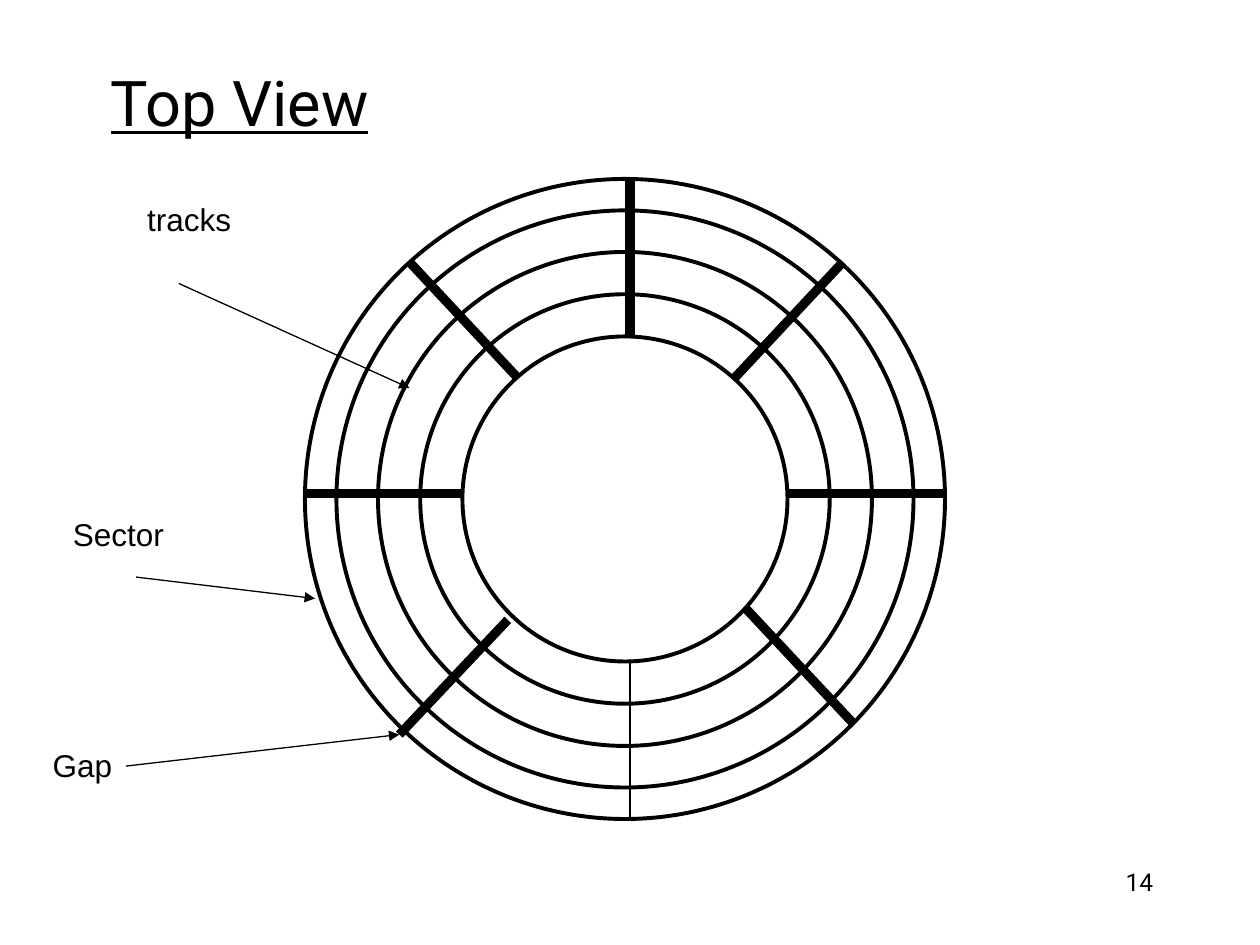
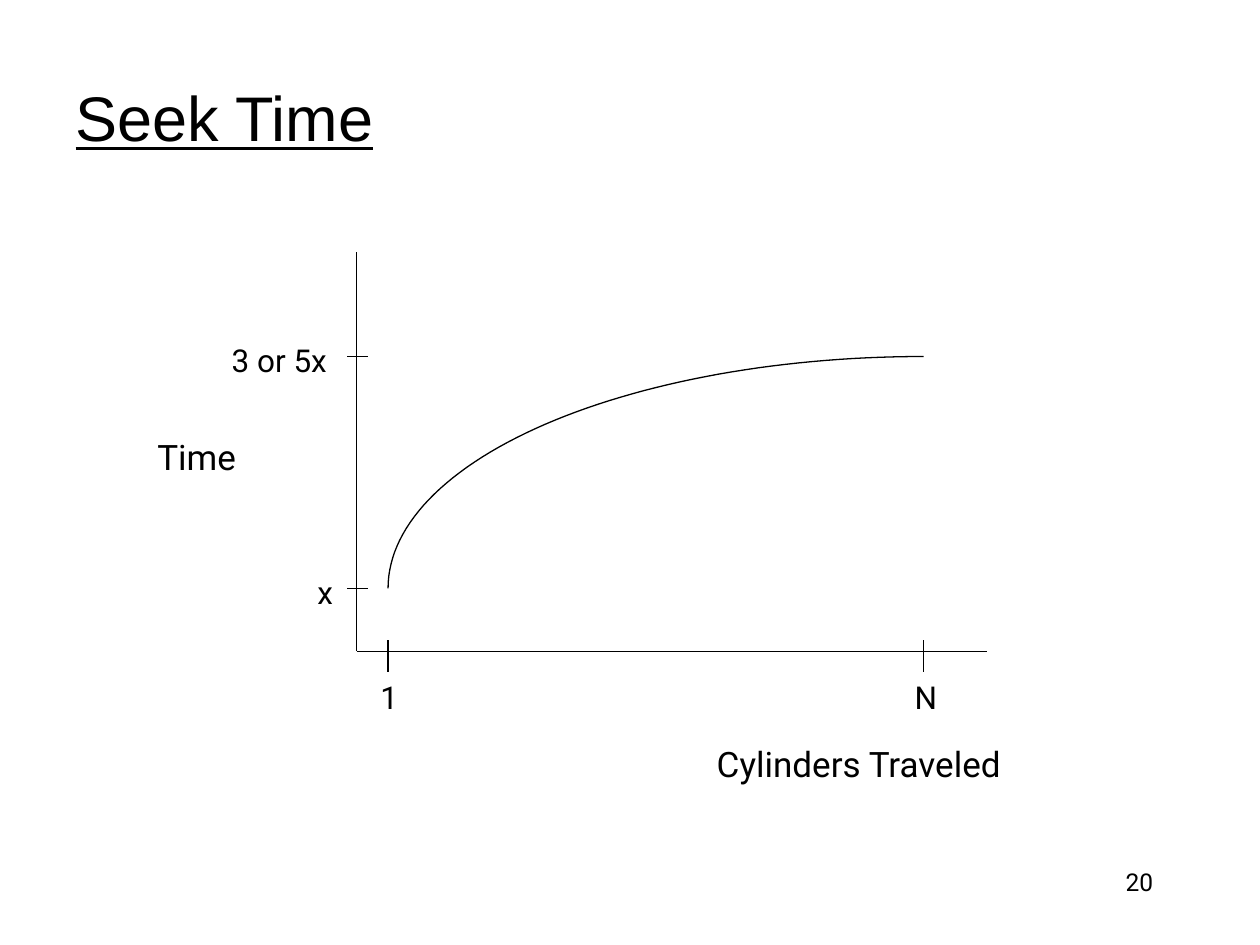
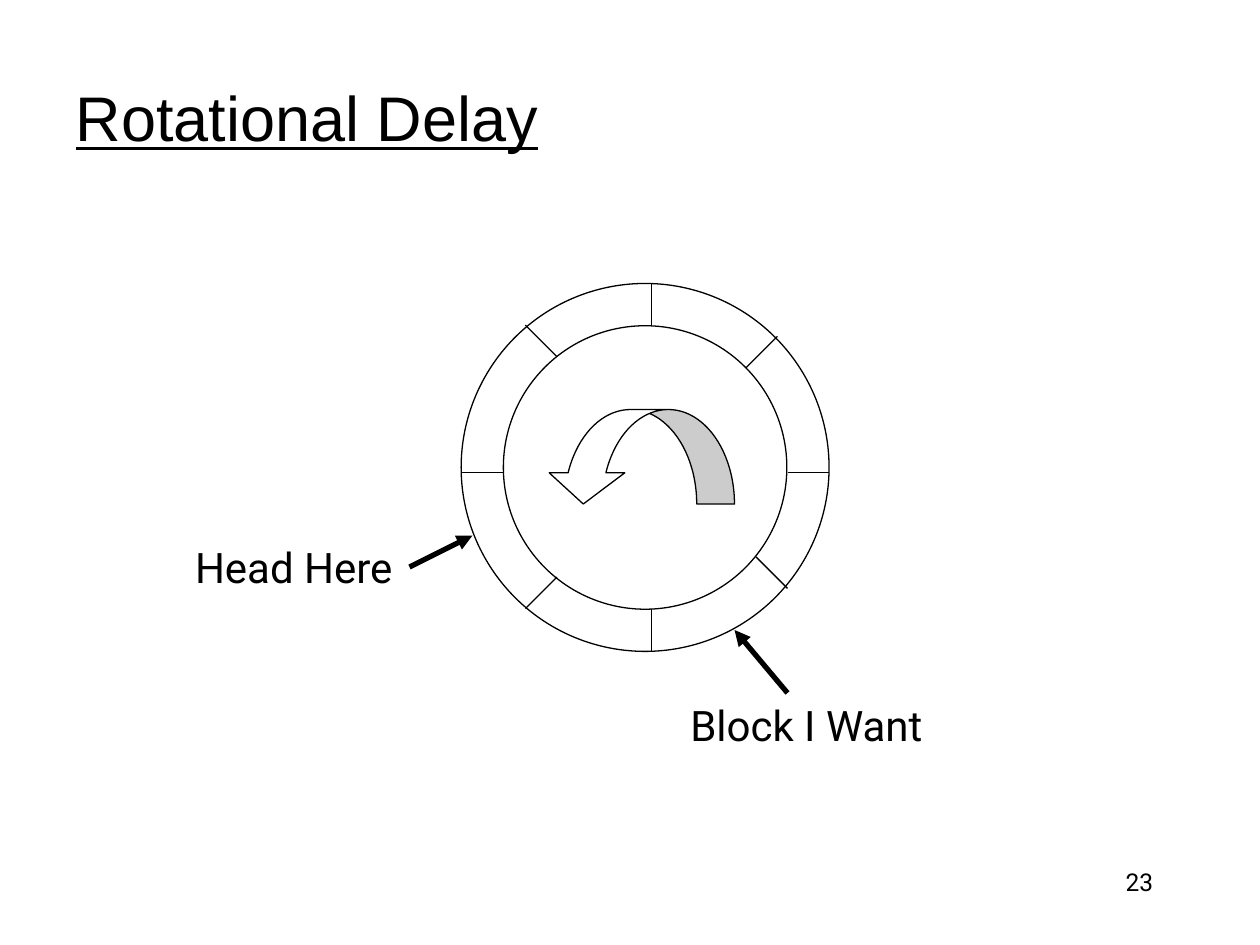
import math

from lxml import etree
from pptx import Presentation
from pptx.dml.color import RGBColor
from pptx.enum.shapes import MSO_CONNECTOR, MSO_SHAPE
from pptx.enum.text import MSO_ANCHOR, MSO_AUTO_SIZE, PP_ALIGN
from pptx.oxml.ns import qn
from pptx.util import Inches, Pt

BLACK = RGBColor(0, 0, 0)
WHITE = RGBColor(255, 255, 255)
STRAIGHT = MSO_CONNECTOR.STRAIGHT
ELLIPSE = MSO_SHAPE.OVAL
CURVED_ARROW = MSO_SHAPE.CURVED_DOWN_ARROW
MIDDLE = MSO_ANCHOR.MIDDLE
NO_FIT, GROW = MSO_AUTO_SIZE.NONE, MSO_AUTO_SIZE.SHAPE_TO_FIT_TEXT
LEFT, RIGHT = PP_ALIGN.LEFT, PP_ALIGN.RIGHT
THIN, RING, ARROW, GAP = 0.75, 2.25, 3, 5.25


def write(shape, text, box, size, font_name, alignment=LEFT, underline=False):
    """Place a text box or placeholder and give it one formatted line."""
    shape.left, shape.top, shape.width, shape.height = map(Inches, box)
    paragraph = shape.text_frame.paragraphs[0]
    paragraph.alignment = alignment
    run = paragraph.add_run()
    run.text = text
    font_format = {"name": font_name, "size": Pt(size), "underline": underline}
    for attribute, value in font_format.items():
        setattr(run.font, attribute, value)
    run.font.color.rgb = BLACK


def add_line(slide, start, end, weight=THIN, arrow=False):
    line = slide.shapes.add_connector(STRAIGHT, *map(Inches, start + end))
    line.line.color.rgb = BLACK
    line.line.width = Pt(weight)
    properties = line._element.spPr
    if arrow:
        etree.SubElement(properties.find(qn("a:ln")), qn("a:tailEnd"), type="triangle")
    etree.SubElement(properties, qn("a:effectLst"))


presentation = Presentation()
presentation.slide_width = Inches(10)
presentation.slide_height = Inches(7.5)
title_only = presentation.slide_layouts[5]

# Titles and page numbers
TITLE_BOX = (0.5, 0.3, 9, 1.25)
slides = []
for title, page, font_name, box in [
    ("Top View", "14", "Roboto", (0.78, 0.45, 2.32, 0.7)),
    ("Seek Time", "20", "Arial", TITLE_BOX),
    ("Rotational Delay", "23", "Arial", TITLE_BOX),
]:
    slide = presentation.slides.add_slide(title_only)
    write(slide.shapes.title, title, box, 36, font_name, underline=True)
    frame = slide.shapes.title.text_frame
    frame.vertical_anchor = MIDDLE
    frame.auto_size = NO_FIT
    frame.word_wrap = box == TITLE_BOX
    number = slide.shapes.add_textbox(0, 0, 0, 0)
    write(number, page, (7.17, 6.83, 2.08, 0.5), 14, "Roboto", RIGHT)
    number.text_frame.word_wrap = True
    slides.append(slide)
top_view, seek_time, rotational_delay = slides

# Concentric disk rings, outermost first
for slide, (center_x, center_y), diameters, weight in [
    (top_view, (4.96, 3.96), (5.08, 4.58, 3.92, 3.25, 2.58), RING),
    (rotational_delay, (5.12, 3.71), (2.92, 2.25), THIN),
]:
    for diameter in diameters:
        left, top = center_x - diameter / 2, center_y - diameter / 2
        ring = slide.shapes.add_shape(
            ELLIPSE, *map(Inches, (left, top, diameter, diameter)))
        ring.shadow.inherit = False
        ring.fill.solid()
        ring.fill.fore_color.rgb = WHITE
        ring.line.color.rgb = BLACK
        ring.line.width = Pt(weight)

# Top view: gaps between sectors, then pointers
add_line(top_view, (5, 6.5), (5, 5.25))
for start, end in [
    ((5, 2.67), (5, 1.42)),
    ((7.5, 3.92), (6.25, 3.92)),
    ((3.67, 3.92), (2.42, 3.92)),
    ((6.69, 2.08), (5.83, 3)),
    ((4.03, 4.92), (3.17, 5.83)),
    ((5.92, 4.83), (6.78, 5.75)),
    ((3.25, 2.08), (4.11, 3)),
]:
    add_line(top_view, start, end, GAP)
for start, end in [
    ((1.42, 2.25), (3.25, 3.08)),
    ((1.08, 4.58), (2.5, 4.75)),
    ((1, 6.08), (3.17, 5.83)),
]:
    add_line(top_view, start, end, arrow=True)

# Seek time: axes, ticks and a quarter-ellipse curve
AXIS_X, AXIS_Y = 2.83, 5.17
FIRST_X, LAST_X = 3.08, 7.33
HIGH_Y, LOW_Y = 2.83, 4.67
add_line(seek_time, (AXIS_X, 2), (AXIS_X, AXIS_Y))
add_line(seek_time, (AXIS_X, AXIS_Y), (7.83, AXIS_Y))
for x in (FIRST_X, LAST_X):
    add_line(seek_time, (x, 5.08), (x, 5.33))
for y in (LOW_Y, HIGH_Y):
    add_line(seek_time, (2.92, y), (2.75, y))

STEPS = 60
points = []
for step in range(STEPS + 1):
    angle = math.pi / 2 * step / STEPS
    points.append((Inches(LAST_X - (LAST_X - FIRST_X) * math.cos(angle)),
                   Inches(LOW_Y - (LOW_Y - HIGH_Y) * math.sin(angle))))
builder = seek_time.shapes.build_freeform(*points[0])
builder.add_line_segments(points[1:], close=False)
curve = builder.convert_to_shape()
curve.shadow.inherit = False
curve.fill.background()
curve.line.color.rgb = BLACK
curve.line.width = Pt(THIN)

# Rotational delay: block borders, spin direction and pointers
for start, end in [
    ((5.17, 2.25), (5.17, 2.58)),
    ((5.17, 4.83), (5.17, 5.17)),
    ((6.25, 3.75), (6.58, 3.75)),
    ((3.67, 3.75), (4, 3.75)),
    ((5.92, 2.92), (6.17, 2.67)),
    ((4.17, 4.83), (4.42, 4.58)),
    ((6, 4.42), (6.25, 4.67)),
    ((4.17, 2.58), (4.42, 2.83)),
]:
    add_line(rotational_delay, start, end)

spin = rotational_delay.shapes.add_shape(
    CURVED_ARROW, *map(Inches, (4.33, 3.25, 1.5, 0.75)))
for index, adjustment in enumerate((0.4, 0.8, 0.33)):
    spin.adjustments[index] = adjustment
spin._element.spPr.find(qn("a:xfrm")).set("flipH", "1")
spin.shadow.inherit = False
spin.fill.solid()
spin.fill.fore_color.rgb = WHITE
spin.line.color.rgb = BLACK
spin.line.width = Pt(THIN)

add_line(rotational_delay, (3.25, 4.5), (3.75, 4.25), ARROW, arrow=True)
add_line(rotational_delay, (6.25, 5.5), (5.83, 5), ARROW, arrow=True)

# Labels
for slide, text, box, size, font_name in [
    (top_view, "tracks", (1.07, 1.54, 0.88, 0.4), 18, "Arial"),
    (top_view, "Sector", (0.48, 4.04, 0.93, 0.4), 18, "Arial"),
    (top_view, "Gap", (0.32, 5.87, 0.68, 0.4), 18, "Arial"),
    (seek_time, "3 or 5x", (1.74, 2.66, 1, 0.4), 18, "Roboto"),
    (seek_time, "x", (2.42, 4.5, 0.33, 0.4), 18, "Roboto"),
    (seek_time, "1", (2.92, 5.33, 0.34, 0.4), 18, "Roboto"),
    (seek_time, "N", (7.16, 5.33, 0.39, 0.4), 18, "Roboto"),
    (seek_time, "Cylinders Traveled", (5.59, 5.84, 2.6, 0.44), 20, "Roboto"),
    (seek_time, "Time", (1.15, 3.41, 0.84, 0.44), 20, "Roboto"),
    (rotational_delay, "Head Here", (1.45, 4.25, 1.87, 0.5), 24, "Roboto"),
    (rotational_delay, "Block I Want", (5.38, 5.5, 2.15, 0.5), 24, "Roboto"),
]:
    label = slide.shapes.add_textbox(0, 0, 0, 0)
    write(label, text, box, size, font_name)
    label.text_frame.word_wrap = False
    label.text_frame.auto_size = GROW

presentation.save("out.pptx")
